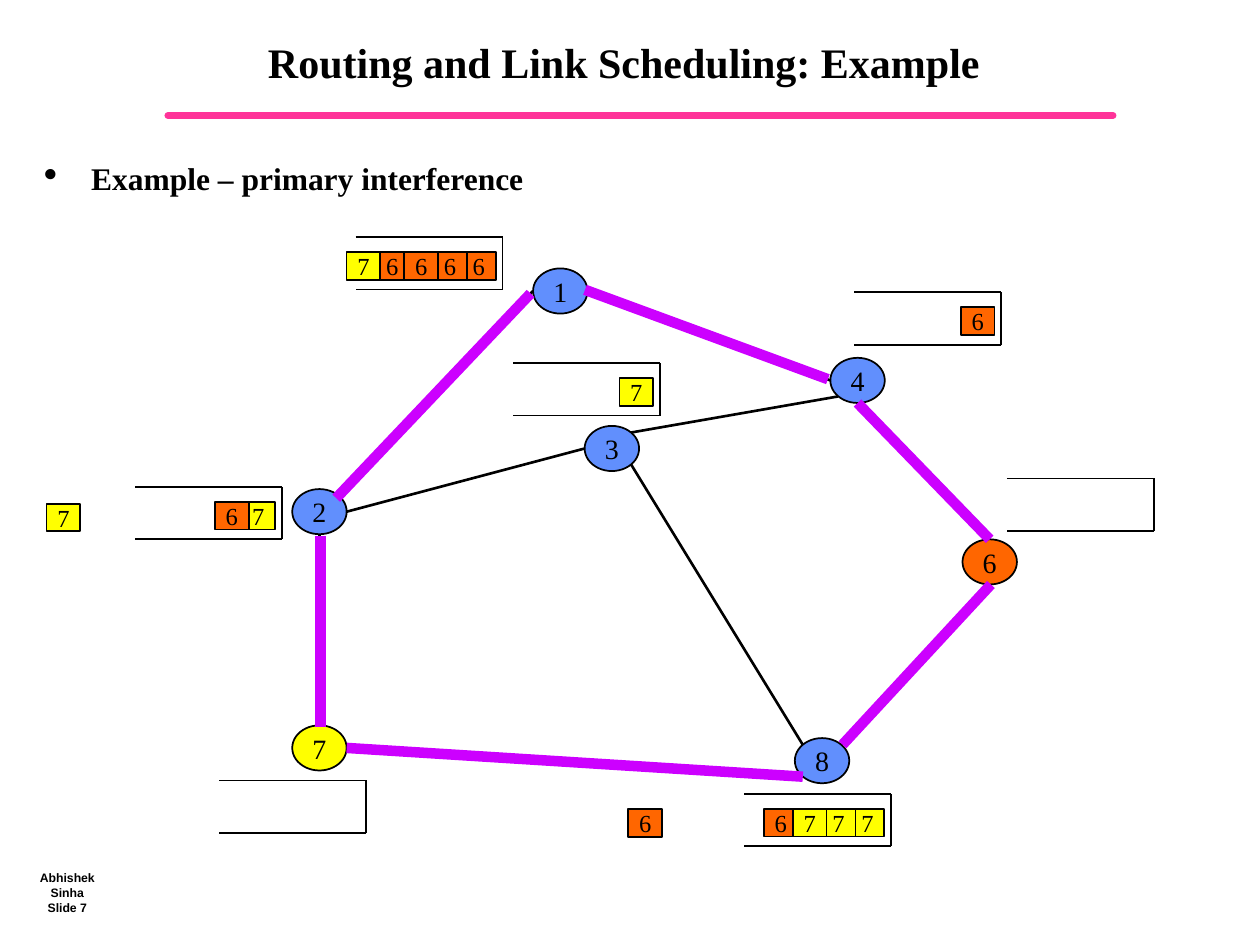
"""Build the slide about routing and link scheduling with primary interference."""
from dataclasses import dataclass
from math import cos, radians, sin

from lxml.etree import SubElement
from pptx import Presentation
from pptx.dml.color import RGBColor
from pptx.enum.shapes import MSO_CONNECTOR as Connector, MSO_SHAPE as Shape
from pptx.enum.text import MSO_ANCHOR as Anchor, PP_ALIGN as Align
from pptx.oxml.ns import qn
from pptx.util import Pt


@dataclass(frozen=True)
class Theme:
    black: str = "000000"
    blue: str = "618FFD"
    orange: str = "FF6600"
    yellow: str = "FFFF00"
    purple: str = "CC00FF"
    pink: str = "FF3399"
    serif: str = "Times New Roman"
    sans: str = "Arial"
    title_size: float = 24
    body_size: float = 18
    node_size: float = 16
    packet_size: float = 14
    footer_size: float = 7


THEME = Theme()
TITLE = "Routing and Link Scheduling: Example"
BULLET = "Example – primary interference"
FOOTER = ["Abhishek Sinha", "Slide 7"]

NODE_WIDTH, NODE_HEIGHT = 31.1, 25.8
NODES = {
    "2": (167, 279.5), "1": (304.6, 153.4), "3": (334.1, 243.4), "6": (550, 308.2),
    "4": (474.5, 204.5), "7": (167, 414.5), "8": (454.2, 421.8),
}
DESTINATION_COLORS = {"6": THEME.orange, "7": THEME.yellow}
SITE_ANGLES = {"right": 0, "bottom right": 45, "bottom": 90, "bottom left": 135,
               "left": 180, "top left": 225, "top": 270, "top right": 315}
IDLE_LINKS = [
    ("8", "top left", "3", "bottom right"),
    ("3", "left", "2", "right"),
    ("3", "top right", "4", "bottom left"),
]
ACTIVE_LINKS = [
    ("1", "left", "2", "top right", (-1.4, 1.4)),
    ("8", "bottom left", "7", "right", (0, 0)),
    ("4", "bottom", "6", "top", (0, 0)),
    ("7", "top", "2", "bottom", (0.7, 0.7)),
    ("6", "bottom", "8", "top right", (0.7, 0)),
    ("1", "right", "4", "left", (-1.4, -0.7)),
]

QUEUE_WIDTH, QUEUE_HEIGHT = 84, 30
PACKET_WIDTH, PACKET_HEIGHT = 19.4, 15.8
PACKET_STEP = 16.5
QUEUE_END_GAP, QUEUE_TOP_GAP = 23.2, 8.6
QUEUES = [
    (203.2, 135.5, [(0, "6"), (1, "6"), (3, "6"), (2, "6"), (4, "7")]),
    (488.2, 167, [(0, "6")]),
    (575.3, 273.4, []),
    (425.2, 453.6, [(0, "7"), (1, "7"), (3, "6"), (2, "7")]),
    (77.2, 278.2, [(0, "7"), (0.92, "6")]),
    (125.2, 446, []),
    (293.2, 207.5, [(0, "7")]),
]
ARRIVING_PACKETS = [(26.6, 287.8, "7"), (359, 462.4, "6")]


def color(value):
    return RGBColor.from_string(value)


def write_text(shape, lines, size, font=THEME.serif, bold=False, align=Align.CENTER,
               anchor=Anchor.MIDDLE, wrap=False, spacing=None, bullet=None, right_inset=7.2):
    frame = shape.text_frame
    frame.word_wrap = wrap
    frame.vertical_anchor = anchor
    frame.margin_right = Pt(right_inset)
    for index, line in enumerate(lines):
        paragraph = frame.add_paragraph() if index else frame.paragraphs[0]
        paragraph.text = line
        paragraph.alignment = align
        paragraph.line_spacing = spacing
        if bullet:
            properties = paragraph._p.get_or_add_pPr()
            properties.set("marL", str(Pt(27)))
            properties.set("indent", str(Pt(-27)))
            SubElement(properties, qn("a:buSzPct")).set("val", "125000")
            SubElement(properties, qn("a:buChar")).set("char", bullet)
        paragraph.font.name = font
        paragraph.font.size = Pt(size)
        paragraph.font.bold = bold
        paragraph.font.color.rgb = color(THEME.black)


def add_text(slide, box, lines, size, **text_format):
    write_text(slide.shapes.add_textbox(*map(Pt, box)), lines, size, **text_format)


def add_line(slide, start, end, width=1, line_color=THEME.black, cap="flat"):
    line = slide.shapes.add_connector(Connector.STRAIGHT, *map(Pt, (*start, *end)))
    line.line.color.rgb = color(line_color)
    line.line.width = Pt(width)
    properties = line._element.spPr
    properties.find(qn("a:ln")).set("cap", cap)
    SubElement(properties, qn("a:effectLst"))


def add_labelled_shape(slide, kind, box, label, fill, size):
    shape = slide.shapes.add_shape(kind, *map(Pt, box))
    shape.shadow.inherit = False
    shape.fill.solid()
    shape.fill.fore_color.rgb = color(fill)
    shape.line.color.rgb = color(THEME.black)
    shape.line.width = Pt(1)
    write_text(shape, [label], size)


def add_packet(slide, left, top, label):
    add_labelled_shape(slide, Shape.RECTANGLE, (left, top, PACKET_WIDTH, PACKET_HEIGHT),
                       label, DESTINATION_COLORS[label], THEME.packet_size)


def add_queue(slide, left, top, packets):
    right, bottom = left + QUEUE_WIDTH, top + QUEUE_HEIGHT
    corners = [(left, top), (right, top), (right, bottom), (left, bottom)]
    for start, end in zip(corners, corners[1:]):
        add_line(slide, start, end)
    for slot, label in packets:
        add_packet(slide, right - QUEUE_END_GAP - slot * PACKET_STEP,
                   top + QUEUE_TOP_GAP, label)


def site_point(node, site, offset):
    left, top = NODES[node]
    angle = radians(SITE_ANGLES[site])
    return (left + NODE_WIDTH / 2 * (1 + cos(angle)) + offset[0],
            top + NODE_HEIGHT / 2 * (1 + sin(angle)) + offset[1])


def add_link(slide, source, source_site, target, target_site, offset=(0, 0), **line_format):
    add_line(slide, site_point(source, source_site, offset),
             site_point(target, target_site, offset), **line_format)


def main():
    presentation = Presentation()
    presentation.slide_width, presentation.slide_height = Pt(720), Pt(540)
    slide = presentation.slides.add_slide(presentation.slide_layouts[6])

    add_line(slide, (96, 66), (636, 66), width=4, line_color=THEME.pink, cap="rnd")
    add_text(slide, (12, 492, 53, 36), FOOTER, THEME.footer_size, font=THEME.sans, bold=True)
    add_text(slide, (84, 4.5, 558, 60), [TITLE], THEME.title_size, bold=True, wrap=True,
             spacing=Pt(30), right_inset=20)
    add_text(slide, (18, 90, 328, 42), [BULLET], THEME.body_size, bold=True, wrap=True,
             align=Align.LEFT, anchor=Anchor.TOP, spacing=0.9, bullet="•")

    for link in IDLE_LINKS:
        add_link(slide, *link, width=1.5)
    for link in ACTIVE_LINKS:
        add_link(slide, *link[:4], width=1.5)
    for label, position in NODES.items():
        add_labelled_shape(slide, Shape.OVAL, (*position, NODE_WIDTH, NODE_HEIGHT), label,
                           DESTINATION_COLORS.get(label, THEME.blue), THEME.node_size)
    for queue in QUEUES:
        add_queue(slide, *queue)
    for link in ACTIVE_LINKS:
        add_link(slide, *link, width=6, line_color=THEME.purple)
    for packet in ARRIVING_PACKETS:
        add_packet(slide, *packet)

    presentation.save("out.pptx")


if __name__ == "__main__":
    main()
